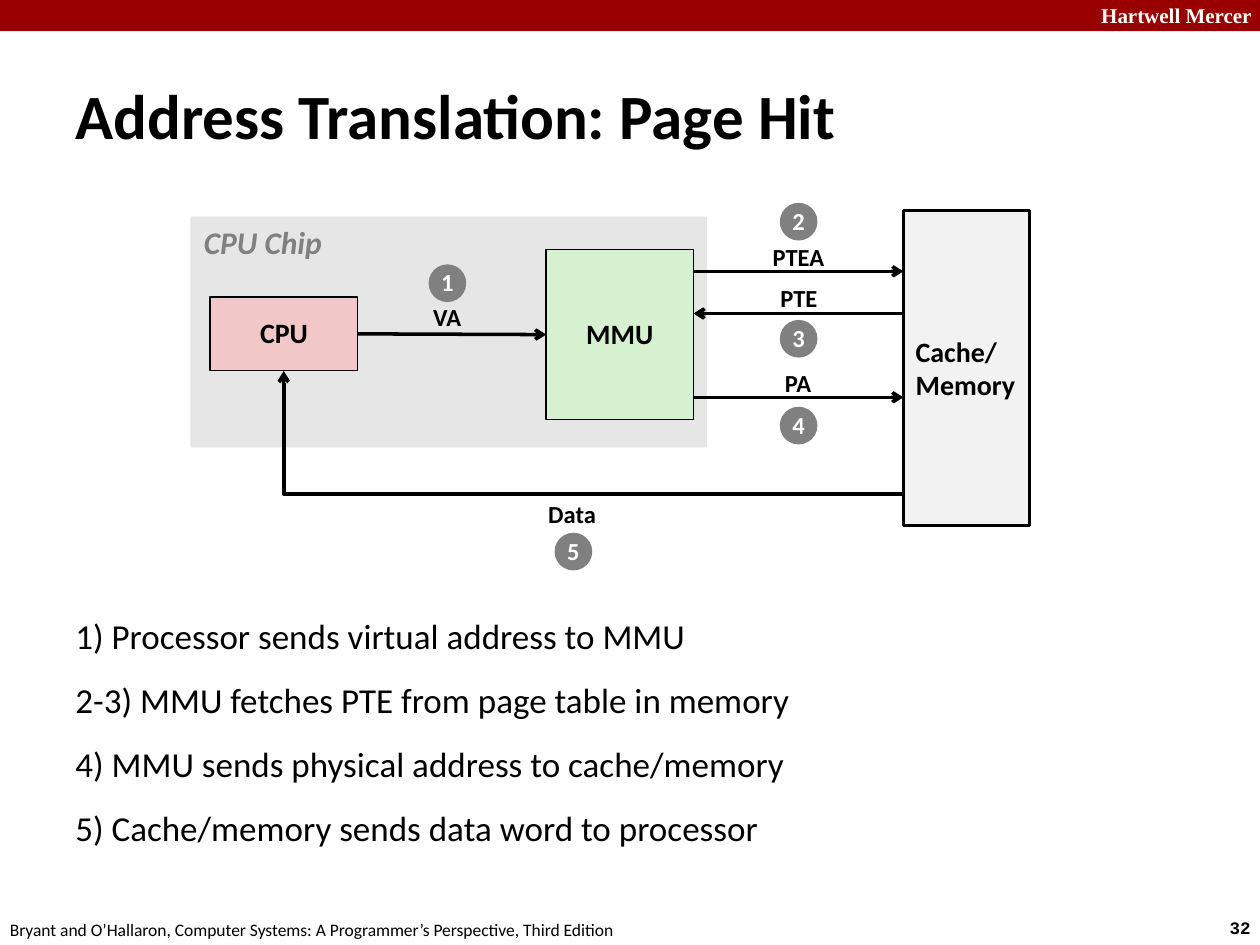
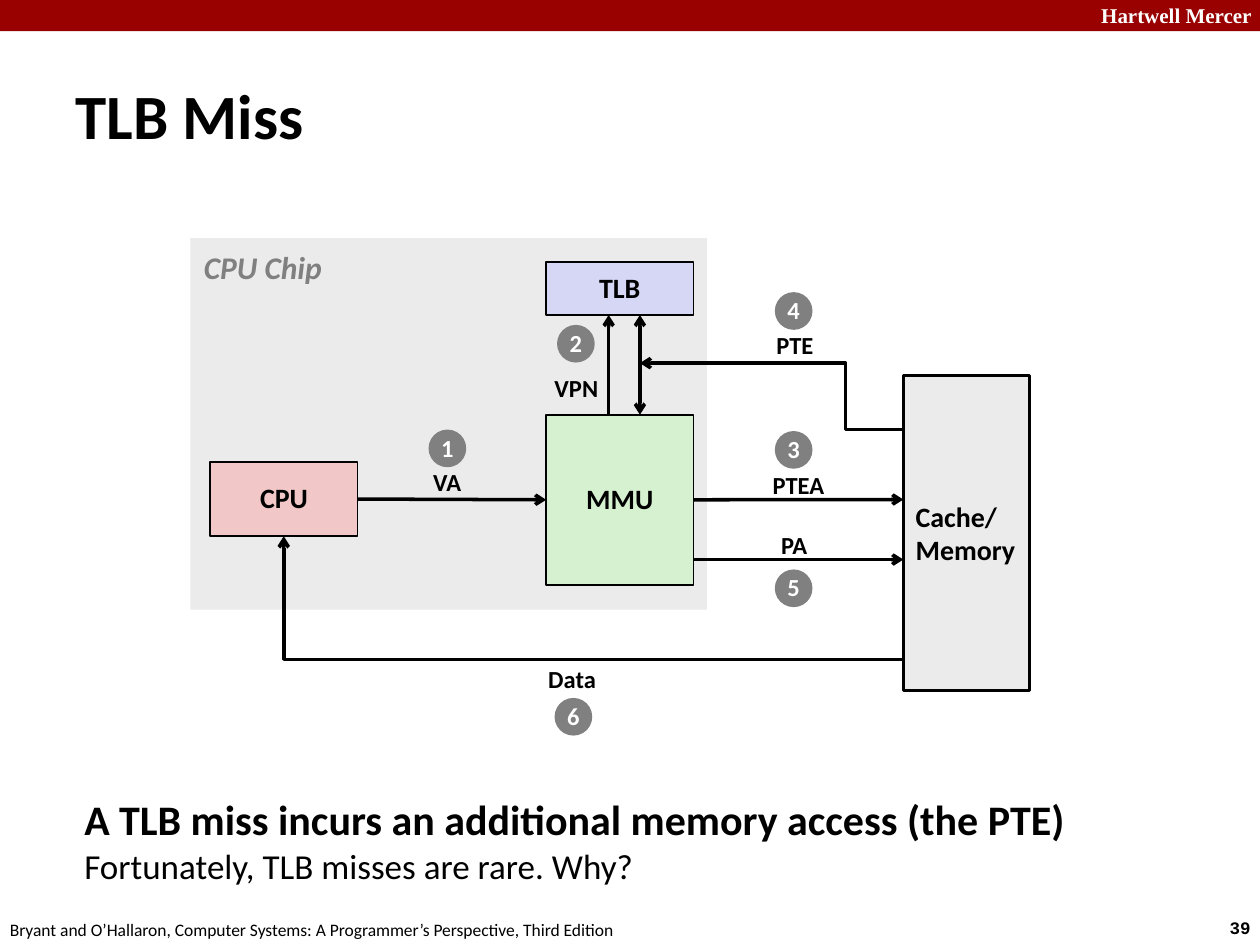
from dataclasses import dataclass, field
from typing import Any

from lxml import etree
from pptx import Presentation
from pptx import util as u
from pptx.dml.color import RGBColor
from pptx.enum import shapes as sh, text as tx
from pptx.oxml import ns

BLACK = RGBColor(0x00, 0x00, 0x00)
WHITE = RGBColor(0xFF, 0xFF, 0xFF)
RED = RGBColor(0x99, 0x00, 0x00)
GRAY = RGBColor(0x80, 0x80, 0x80)
MIST = RGBColor(0xE6, 0xE6, 0xE6)
PALE = RGBColor(0xEB, 0xEB, 0xEB)
SNOW = RGBColor(0xF2, 0xF2, 0xF2)
GREEN = RGBColor(0xD5, 0xF1, 0xCF)
PINK = RGBColor(0xF1, 0xC7, 0xC7)
LILAC = RGBColor(0xD6, 0xD6, 0xF5)

RECT = sh.MSO_SHAPE.RECTANGLE
OVAL = sh.MSO_SHAPE.OVAL
MID = tx.MSO_ANCHOR.MIDDLE
TOP = tx.MSO_ANCHOR.TOP

SHIFT = 3.33
MMU_EDGE = 13.98
MEM_EDGE = 18.21
DISC = 0.76
ROW = 0.84


@dataclass(frozen=True)
class Style:
    size: float
    color: RGBColor = BLACK
    face: str = "Calibri"
    font: dict[str, Any] = field(default_factory=lambda: {"bold": True})
    para: dict[str, Any] = field(default_factory=dict)
    frame: dict[str, Any] = field(default_factory=dict)


@dataclass(frozen=True)
class Box:
    words: str
    x: float
    y: float
    w: float
    h: float
    style: Style
    fill: RGBColor | None = None
    line: float = 0
    form: Any = RECT


@dataclass(frozen=True)
class Arrow:
    x1: float
    y1: float
    x2: float
    y2: float
    both: bool = False


PLAIN = {"bold": False}
CENTER = {"alignment": tx.PP_ALIGN.CENTER, "line_spacing": 0.98}
TIGHT = {"word_wrap": False, "vertical_anchor": MID}
LOOSE = {"word_wrap": False, "vertical_anchor": TOP}
WRAP = {"word_wrap": True, "vertical_anchor": TOP}

TITLE = Style(36, frame={"word_wrap": True, "vertical_anchor": MID})
BODY = Style(20, font=PLAIN, para={"space_before": u.Pt(12.5)}, frame=WRAP)
NOTE = Style(24, frame=WRAP)
BLOCK = Style(16, para=CENTER, frame=TIGHT)
STORE = Style(16, para={"alignment": tx.PP_ALIGN.LEFT}, frame=TIGHT)
LABEL = Style(14, para=CENTER, frame=TIGHT)
BADGE = Style(14, WHITE, para=CENTER, frame=TIGHT)
CHIP = Style(18, GRAY, font={"bold": True, "italic": True}, frame=LOOSE)
BRAND = Style(12, WHITE, "Times New Roman", frame=WRAP)
PAGE = Style(10, face="Courier New", frame=LOOSE)
FOOT = Style(10, font=PLAIN, frame=LOOSE)


def put(item: Any, values: dict[str, Any]) -> None:
    for name, value in values.items():
        setattr(item, name, value)


def ink(run: Any, style: Style) -> None:
    put(run.font, {"name": style.face, "size": u.Pt(style.size), **style.font})
    run.font.color.rgb = style.color


def write(frame: Any, words: str, style: Style) -> None:
    put(frame, style.frame)
    for i, line in enumerate(words.split("\n")):
        para = frame.add_paragraph() if i else frame.paragraphs[0]
        put(para, style.para)
        run = para.add_run()
        run.text = line
        ink(run, style)


def draw(slide: Any, box: Box) -> Any:
    place = [u.Cm(n) for n in (box.x, box.y, box.w, box.h)]
    if box.fill is None:
        shape = slide.shapes.add_textbox(*place)
    else:
        shape = slide.shapes.add_shape(box.form, *place)
        shape.shadow.inherit = False
        shape.fill.solid()
        shape.fill.fore_color.rgb = box.fill
        if box.line:
            shape.line.color.rgb = BLACK
            shape.line.width = u.Pt(box.line)
        else:
            shape.line.fill.background()
    if box.words:
        write(shape.text_frame, box.words, box.style)
    return shape


def tag(words: str, x: float, y: float, w: float) -> Box:
    return Box(words, x, y, w, ROW, LABEL)


def disc(num: int, x: float, y: float) -> Box:
    return Box(str(num), x, y, DISC, DISC, BADGE, GRAY, form=OVAL)


def link(slide: Any, way: Arrow, kind: Any = sh.MSO_CONNECTOR.STRAIGHT) -> Any:
    ends = [u.Cm(n) for n in (way.x1, way.y1, way.x2, way.y2)]
    wire = slide.shapes.add_connector(kind, *ends)
    wire.line.color.rgb = BLACK
    wire.line.width = u.Pt(2)
    pen = wire.line._get_or_add_ln()
    for end in ("headEnd", "tailEnd") if way.both else ("tailEnd",):
        etree.SubElement(pen, ns.qn(f"a:{end}"), type="arrow")
    etree.SubElement(wire._element.spPr, ns.qn("a:effectLst"))
    return wire


def bend(slide: Any, way: Arrow, ratio: float | None = None) -> None:
    back = Arrow(way.x2, way.y2, way.x1, way.y1)
    wire = link(slide, back, sh.MSO_CONNECTOR.ELBOW)
    props = wire._element.spPr
    props.find(ns.qn("a:xfrm")).set("rot", "10800000")
    geom = props.find(ns.qn("a:prstGeom"))
    if ratio is None:
        geom.set("prst", "bentConnector2")
    else:
        stops = geom.find(ns.qn("a:avLst"))
        value = f"val {round(ratio * 100000)}"
        etree.SubElement(stops, ns.qn("a:gd"), name="adj1", fmla=value)


def start(deck: Any, title: str, page: int) -> Any:
    slide = deck.slides.add_slide(deck.slide_layouts[6])
    source = (
        "Bryant and O’Hallaron, Computer Systems: "
        "A Programmer’s Perspective, Third Edition"
    )
    for box in (
        Box("", 0, 0, 25.4, 0.63, BRAND, RED),
        Box("Hartwell Mercer", 21.95, -0.08, 3.63, 0.76, BRAND),
        Box(str(page), 24.54, 18.36, 1.14, 0.69, PAGE),
        Box(source, -0.05, 18.41, 12.9, 0.69, FOOT),
        Box(title, 1.27, 1.22, 24.2, 2.18, TITLE),
    ):
        draw(slide, box)
    return slide


def core(slide: Any, chip: Box, name: float, dy: float, store: RGBColor, last: int) -> Any:
    draw(slide, chip)
    draw(slide, Box("CPU Chip", 3.86, name, 2.95, 1.02, CHIP))
    cpu = draw(slide, Box("CPU", 4.24, 5.99 + dy, 2.97, 1.48, BLOCK, PINK, 1))
    mmu = draw(slide, Box("MMU", 11.01, 5.03 + dy, 2.97, 3.43, BLOCK, GREEN, 1))
    draw(slide, Box("Cache/\nMemory", MEM_EDGE, 4.24 + dy, 2.54, 6.35, STORE, store, 1.5))
    wire = link(slide, Arrow(7.21, 6.73 + dy, 11.01, 6.73 + dy))
    wire.begin_connect(cpu, 3)
    wire.end_connect(mmu, 1)
    bend(slide, Arrow(MEM_EDGE, 9.96 + dy, 5.72, 7.48 + dy))
    for box in (
        tag("VA", 8.48, 5.99 + dy, 1.07),
        tag("Data", 10.8, 9.96 + dy, 1.47),
        disc(1, 8.64, 5.33 + dy),
        disc(last, 11.18, 10.74 + dy),
    ):
        draw(slide, box)
    return mmu


def hit(deck: Any) -> None:
    slide = start(deck, "Address Translation: Page Hit", 32)
    core(slide, Box("", 3.84, 4.37, 10.41, 4.65, CHIP, MIST), 4.37, 0, SNOW, 5)
    for way in (
        Arrow(MMU_EDGE, 5.47, MEM_EDGE, 5.47),
        Arrow(MEM_EDGE, 6.32, MMU_EDGE, 6.32),
        Arrow(MMU_EDGE, 8.01, MEM_EDGE, 8.01),
    ):
        link(slide, way)
    steps = (
        "1) Processor sends virtual address to MMU",
        "2-3) MMU fetches PTE from page table in memory",
        "4) MMU sends physical address to cache/memory",
        "5) Cache/memory sends data word to processor",
    )
    for box in (
        tag("PTEA", 15.32, 4.78, 1.55),
        tag("PTE", 15.47, 5.61, 1.27),
        tag("PA", 15.57, 7.32, 1.04),
        disc(2, 15.72, 4.09),
        disc(3, 15.72, 6.45),
        disc(4, 15.72, 8.2),
        Box("\n".join(steps), 1.27, 12.27, 18.85, 5.72, BODY),
    ):
        draw(slide, box)


def miss(deck: Any) -> None:
    slide = start(deck, "TLB Miss", 39)
    chip = Box("", 3.84, 4.8, 10.41, 7.49, CHIP, PALE)
    mmu = core(slide, chip, 4.88, SHIFT, PALE, 6)
    draw(slide, Box("TLB", 11.01, 5.28, 2.97, 1.07, BLOCK, LILAC, 1))
    for way in (
        Arrow(MMU_EDGE, 11.28, MEM_EDGE, 11.28),
        Arrow(12.27, 8.36, 12.27, 6.35),
        Arrow(12.9, 6.35, 12.9, 8.36, both=True),
    ):
        link(slide, way)
    link(slide, Arrow(MMU_EDGE, 10.07, MEM_EDGE, 10.07)).begin_connect(mmu, 3)
    bend(slide, Arrow(MEM_EDGE, 8.66, 12.9, 7.32), 0.22)
    for box in (
        tag("PTE", 15.39, 6.55, 1.27),
        tag("VPN", 10.92, 7.42, 1.4),
        tag("PTEA", 15.32, 9.37, 1.55),
        tag("PA", 15.49, 10.59, 1.04),
        disc(2, 11.23, 6.55),
        disc(3, 15.62, 8.69),
        disc(4, 15.62, 5.89),
        disc(5, 15.62, 11.48),
    ):
        draw(slide, box)
    claim = "A TLB miss incurs an additional memory access (the PTE)"
    note = draw(slide, Box(claim, 1.45, 15.88, 21.41, 2.54, NOTE))
    para = note.text_frame.paragraphs[0]
    para.add_line_break()
    run = para.add_run()
    run.text = "Fortunately, TLB misses are rare. Why?"
    ink(run, BODY)


def main() -> None:
    deck = Presentation()
    put(deck, {"slide_width": u.Cm(25.4), "slide_height": u.Cm(19.05)})
    hit(deck)
    miss(deck)
    deck.save("out.pptx")


if __name__ == "__main__":
    main()
